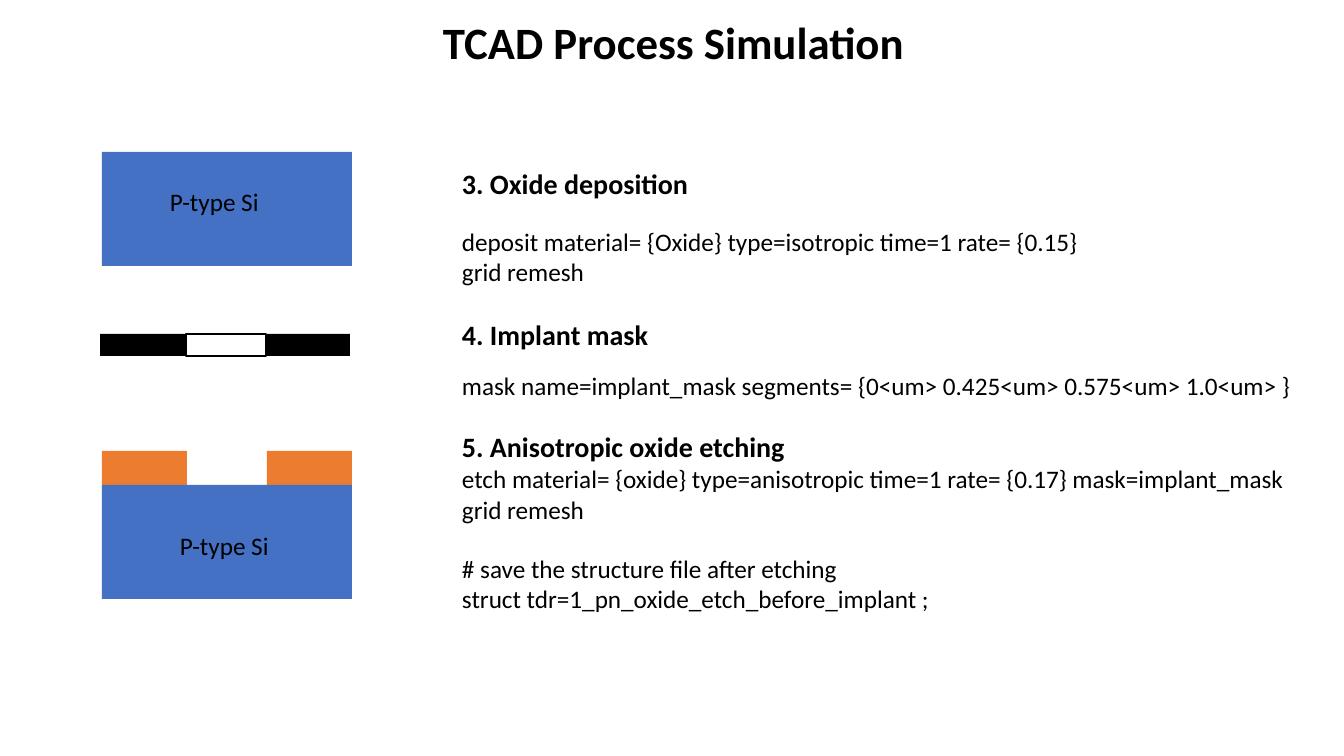
import pptx
import pptx.util
import pptx.dml.color
import pptx.enum.shapes
import pptx.enum.text

PX = 9071  # EMU in one pixel at 100.8 pixels to the inch
Pt = pptx.util.Pt
shade = pptx.dml.color.RGBColor.from_string
theme = {
    "font": "Calibri", "title": 32, "head": 20, "code": 18, "edge": 0.96,
    "ink": "000000", "white": "FFFFFF", "si": "4471C4", "oxide": "EC7C30",
}


def write(shape, lines, left=0, top=1):
    frame = shape.text_frame
    layout = {"margin_left": left * PX, "margin_top": top * PX,
              "margin_right": 0, "margin_bottom": 0, "word_wrap": True,
              "vertical_anchor": pptx.enum.text.MSO_ANCHOR.TOP}
    for key, value in layout.items():
        setattr(frame, key, value)
    for i, (style, gap, words) in enumerate(lines):
        para = frame.paragraphs[0] if i == 0 else frame.add_paragraph()
        para.alignment = pptx.enum.text.PP_ALIGN.LEFT
        para.space_before = Pt(gap)
        run = para.add_run()
        run.text = words
        look = {"name": theme["font"], "size": Pt(theme[style]), "bold": style != "code"}
        for key, value in look.items():
            setattr(run.font, key, value)
        run.font.color.rgb = shade(theme["ink"])


def block(x, y, w, h, fill, line=None):
    rect = slide.shapes.add_shape(pptx.enum.shapes.MSO_SHAPE.RECTANGLE,
                                  x * PX, y * PX, w * PX, h * PX)
    rect.shadow.inherit = False
    rect.fill.solid()
    rect.fill.fore_color.rgb = shade(theme[fill])
    if line:
        rect.line.color.rgb = shade(theme[line])
        rect.line.width = Pt(theme["edge"])
    else:
        rect.line.fill.background()
    return rect


deck = pptx.Presentation()
deck.slide_width, deck.slide_height = 1344 * PX, 756 * PX
slide = deck.slides.add_slide(deck.slide_layouts[6])

# Title and process steps: left, top, width, height, lines
texts = [
    (443, 14, 490, 56, [("title", 1, "TCAD Process Simulation")]),
    (462, 165, 240, 36, [("head", 1, "3. Oxide deposition")]),
    (462, 225, 640, 64, [
        ("code", 1, "deposit material= {Oxide} type=isotropic time=1 rate= {0.15}"),
        ("code", 0, "grid remesh")]),
    (462, 317, 840, 85, [
        ("head", 1, "4. Implant mask"),
        ("code", 13, "mask name=implant_mask segments= "
                     "{0<um> 0.425<um> 0.575<um> 1.0<um> }")]),
    (462, 429, 840, 97, [
        ("head", 1, "5. Anisotropic oxide etching"),
        ("code", 0, "etch material= {oxide} type=anisotropic time=1 "
                    "rate= {0.17} mask=implant_mask"),
        ("code", 0, "grid remesh")]),
    (462, 552, 490, 64, [
        ("code", 1, "# save the structure file after etching"),
        ("code", 0, "struct tdr=1_pn_oxide_etch_before_implant ;")]),
]
for x, y, w, h, lines in texts:
    box = slide.shapes.add_textbox(x * PX, y * PX, w * PX, h * PX)
    write(box, lines)

# Implant mask with its opening
block(100, 334, 250, 22, "ink")
block(186, 334, 80, 22, "white", "ink")

# Oxide left on both sides after etching
for x in (102, 267):
    block(x, 451, 85, 35, "oxide")

# Silicon before and after: top, label inset from left and top
for y, left, top in ((152, 68, 34), (485, 78, 45)):
    base = block(102, y, 250, 114, "si")
    write(base, [("code", 0, "P-type Si")], left, top)

deck.save("out.pptx")
